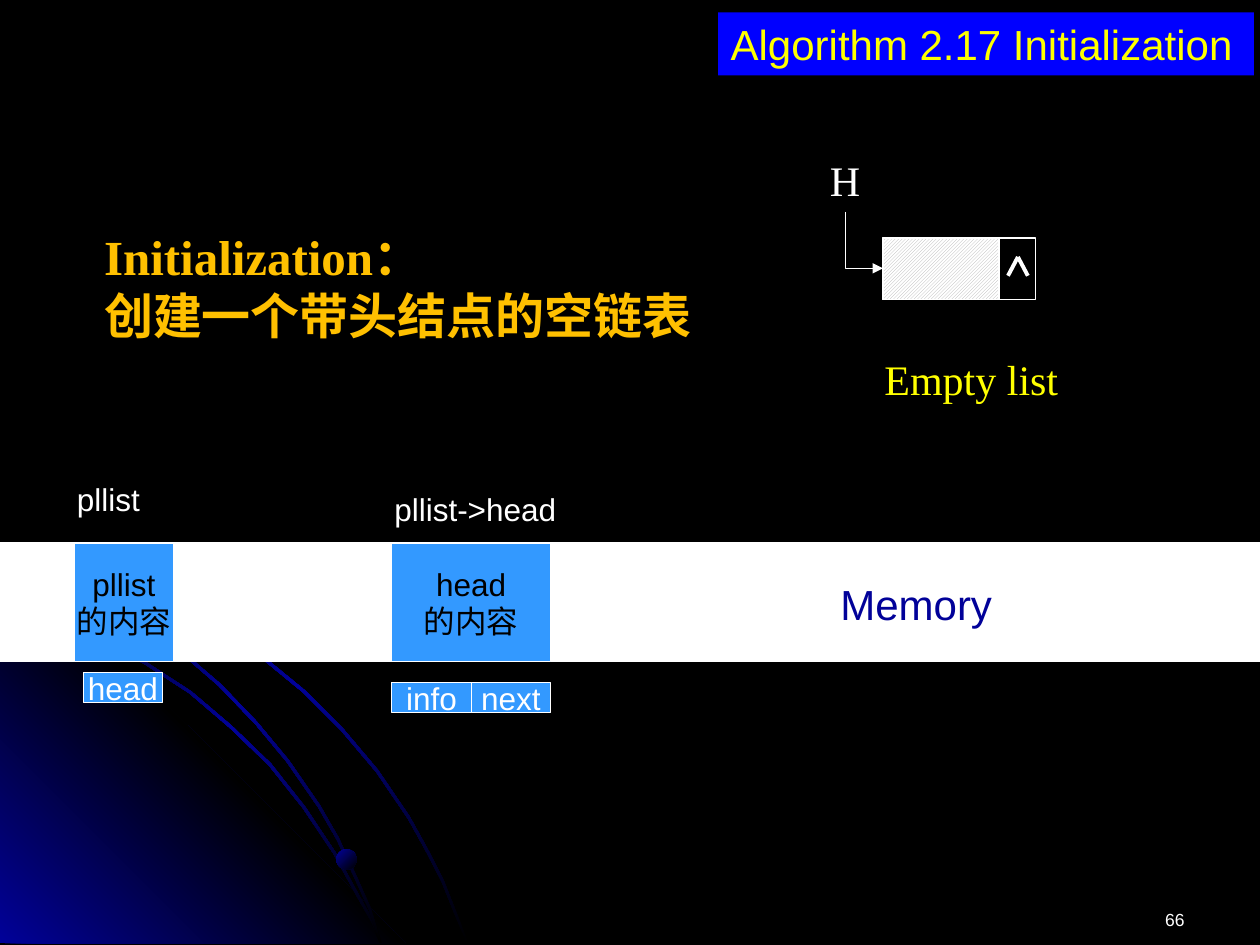
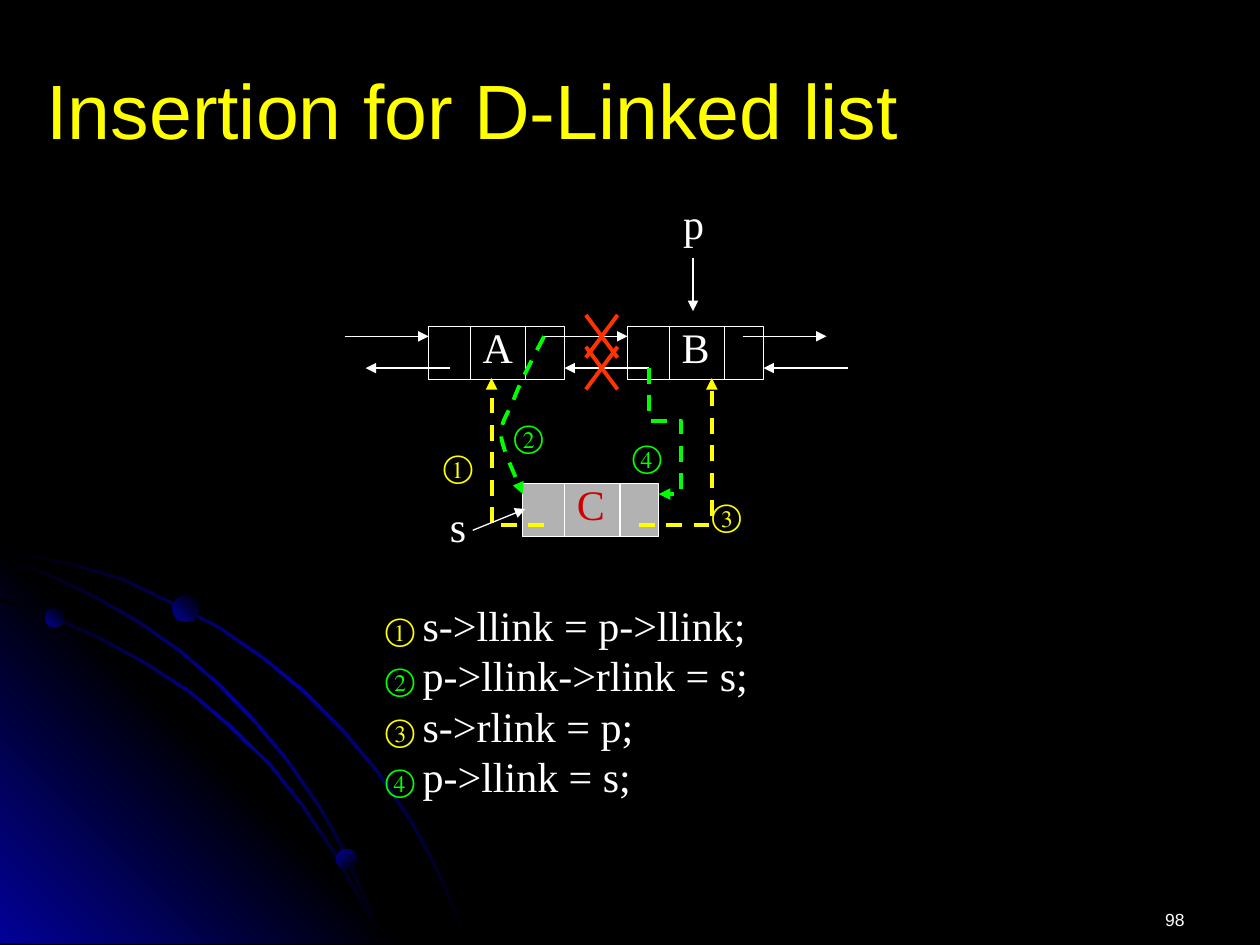
from pptx import Presentation
from pptx.dml.color import RGBColor
from pptx.enum.dml import MSO_LINE, MSO_PATTERN
from pptx.enum.shapes import MSO_CONNECTOR, MSO_SHAPE
from pptx.enum.text import MSO_ANCHOR, MSO_AUTO_SIZE, PP_ALIGN
from pptx.oxml import parse_xml
from pptx.oxml.ns import nsdecls, qn
from pptx.oxml.xmlchemy import OxmlElement
from pptx.util import Cm, Pt

LEFT, CENTER, RIGHT = PP_ALIGN.LEFT, PP_ALIGN.CENTER, PP_ALIGN.RIGHT
TOP, MIDDLE = MSO_ANCHOR.TOP, MSO_ANCHOR.MIDDLE
RECTANGLE, OVAL = MSO_SHAPE.RECTANGLE, MSO_SHAPE.OVAL
STRAIGHT, ELBOW = MSO_CONNECTOR.STRAIGHT, MSO_CONNECTOR.ELBOW
DASH, HATCH = MSO_LINE.DASH, MSO_PATTERN.LIGHT_UPWARD_DIAGONAL

COLORS = {
    "black": "000000", "white": "FFFFFF", "navy": "010199", "blue": "0000FF",
    "sky": "3399FF", "yellow": "FFFF00", "amber": "FFC000", "green": "00FF00",
    "gray": "B2B2B2", "crimson": "CC0000", "red": "FF3300",
}
SANS, SERIF = "Arial", "Times New Roman"
WIDTH, HEIGHT = 25.4, 19.05
THIN, THICK = 0.75, 2.25

ARCS = [
    [(0, 11.05), (0.71, 11.2), (1.45, 11.35), (2.49, 11.66), (3.45, 12.12),
     (4.42, 12.62), (5.31, 13.23), (6.15, 13.92), (6.91, 14.68), (7.62, 15.52),
     (8.26, 16.46), (8.61, 17.09), (8.94, 17.73), (9.19, 18.36), (9.45, 19.02)],
    [(0, 12.07), (1.04, 12.4), (2.01, 12.83), (2.97, 13.36), (3.86, 13.94),
     (4.67, 14.63), (5.46, 15.39), (6.15, 16.26), (6.76, 17.17), (7.26, 18.08),
     (7.52, 18.54), (7.7, 19.02)],
    [(0, 11.23), (0.99, 11.56), (1.93, 12.01), (2.82, 12.52), (3.66, 13.11),
     (4.45, 13.79), (5.18, 14.55), (5.82, 15.32), (6.45, 16.23), (6.83, 16.89),
     (7.16, 17.6), (7.47, 18.29), (7.7, 19.02)],
]
GLOW = [(0, 10.85), (8.18, 19.02), (0, 19.02)]
LOW_DOT = (6.78, 17.12, 0.41, 45)
ALL_DOTS = [(0.91, 12.27, 0.38, 315), LOW_DOT, (3.48, 12.01, 0.53, 315)]


def rgb(name):
    return RGBColor.from_string(COLORS[name])


def write(shape, text, size=18, color="white", font=SANS, bold=False,
          align=LEFT, anchor=TOP, wrap=False, grow=False):
    """Fill a shape with lines; a line is a string or a list of (text, size, color)."""
    frame = shape.text_frame
    frame.word_wrap = wrap
    frame.vertical_anchor = anchor
    frame.auto_size = MSO_AUTO_SIZE.SHAPE_TO_FIT_TEXT if grow else MSO_AUTO_SIZE.NONE
    lines = text.split("\n") if isinstance(text, str) else text
    for index, line in enumerate(lines):
        para = frame.add_paragraph() if index else frame.paragraphs[0]
        para.alignment = align
        spans = [(line, size, color)] if isinstance(line, str) else line
        for words, span_size, span_color in spans:
            span = para.add_run()
            span.text = words
            span.font.name, span.font.size = font, Pt(span_size)
            span.font.bold = bold
            span.font.color.rgb = rgb(span_color)


def add_label(page, left, top, width, height, text, grow=True, **style):
    box = page.shapes.add_textbox(Cm(left), Cm(top), Cm(width), Cm(height))
    write(box, text, grow=grow, **style)


def set_line(shape, color, weight, dash=None, arrow=False):
    shape.line.color.rgb = rgb(color)
    shape.line.width = Pt(weight)
    if dash:
        shape.line.dash_style = dash
    if arrow:
        head = OxmlElement("a:tailEnd")
        head.set("type", "triangle")
        shape.element.spPr.find(qn("a:ln")).append(head)


def add_box(page, left, top, width, height, fill=None, line="white", kind=RECTANGLE):
    box = page.shapes.add_shape(kind, Cm(left), Cm(top), Cm(width), Cm(height))
    box.shadow.inherit = False
    if fill:
        box.fill.solid()
        box.fill.fore_color.rgb = rgb(fill)
    else:
        box.fill.background()
    if line:
        set_line(box, line, THIN)
    else:
        box.line.fill.background()
    return box


def add_line(page, start, end, color="white", weight=THIN, arrow=False, kind=STRAIGHT):
    ends = [Cm(value) for value in (*start, *end)]
    connector = page.shapes.add_connector(kind, *ends)
    set_line(connector, color, weight, arrow=arrow)
    connector.element.spPr.append(OxmlElement("a:effectLst"))
    return connector


def add_elbow(page, start, end):
    """Arrow that runs down first and then to the right."""
    middle_x, middle_y = (start[0] + end[0]) / 2, (start[1] + end[1]) / 2
    half_run, half_drop = (end[0] - start[0]) / 2, (end[1] - start[1]) / 2
    elbow = add_line(page, (middle_x - half_drop, middle_y + half_run),
                     (middle_x + half_drop, middle_y - half_run), arrow=True, kind=ELBOW)
    properties = elbow.element.spPr
    properties.find(qn("a:prstGeom")).set("prst", "bentConnector2")
    properties.find(qn("a:xfrm")).set("rot", str(90 * 60000))


def add_outline(page, points, close=False):
    first, *rest = [(Cm(x), Cm(y)) for x, y in points]
    builder = page.shapes.build_freeform(*first)
    builder.add_line_segments(rest, close=close)
    outline = builder.convert_to_shape()
    outline.shadow.inherit = False
    outline.fill.background()
    outline.line.fill.background()
    return outline


def add_dashed_link(page, points, color):
    set_line(add_outline(page, points), color, THICK, DASH, arrow=True)


def set_gradient(shape, names, angle):
    last = len(names) - 1
    stops = "".join(
        f'<a:gs pos="{100000 * index // last}"><a:srgbClr val="{COLORS[name]}"/></a:gs>'
        for index, name in enumerate(names))
    gradient = parse_xml(
        f'<a:gradFill {nsdecls("a")} rotWithShape="1"><a:gsLst>{stops}</a:gsLst>'
        f'<a:lin ang="{angle * 60000}" scaled="1"/></a:gradFill>')
    properties = shape.element.spPr
    properties.replace(properties.find(qn("a:noFill")), gradient)


def bezier(points, steps=8):
    """Points along joined cubic curves given by their control points."""
    curve = [points[0]]
    for first in range(0, len(points) - 1, 3):
        controls = points[first:first + 4]
        for step in range(1, steps + 1):
            t = step / steps
            weights = ((1 - t) ** 3, 3 * t * (1 - t) ** 2, 3 * t * t * (1 - t), t ** 3)
            curve.append(tuple(sum(weight * point[axis] for weight, point
                                   in zip(weights, controls)) for axis in (0, 1)))
    return curve


def add_backdrop(page, dots):
    page.background.fill.solid()
    page.background.fill.fore_color.rgb = rgb("black")
    outer, *inner = ARCS
    add_arc(page, outer)
    set_gradient(add_outline(page, GLOW, close=True), ("navy", "black", "navy"), 315)
    for arc in inner:
        add_arc(page, arc)
    for left, top, size, angle in dots:
        dot = add_box(page, left, top, size, size, line=None, kind=OVAL)
        set_gradient(dot, ("navy", "black"), angle)


def add_arc(page, edge, thickness=0.04):
    bottom = edge[-1][1]
    back = [(max(x - thickness, 0), min(y + thickness, bottom)) for x, y in reversed(edge)]
    set_gradient(add_outline(page, edge + back, close=True), ("black", "navy", "black"), 45)


def add_page(deck, number, dots):
    page = deck.slides.add_slide(deck.slide_layouts[6])
    add_backdrop(page, dots)
    add_label(page, 18.21, 18.21, 5.92, 0.8, number, grow=False, size=10, align=RIGHT, wrap=True)
    return page


def add_cell(page, left, top, width, height, text, color="white"):
    cell = add_box(page, left, top, width, height, fill="sky")
    write(cell, text, color=color, align=CENTER, anchor=MIDDLE)


def add_memory(page, top, height=2.39):
    """Band of memory with its cells, the names above and the fields below."""
    add_box(page, 0, top, WIDTH, height, fill="white")
    add_label(page, 16.69, top + 0.58, 3.58, 1.27, "Memory", size=24, color="navy")
    add_cell(page, 1.5, top, 2, height, "pllist\n的内容", color="black")
    add_cell(page, 7.9, top, 3.2, height, "head\n的内容", color="black")
    add_label(page, 1.3, top - 1.4, 1.78, 1.02, "pllist")
    add_label(page, 7.7, top - 1.2, 3.78, 1.02, "pllist->head")
    below = top + height
    for left, drop, field in ((1.68, 0.22, "head"), (7.9, 0.42, "info"), (9.5, 0.42, "next")):
        add_cell(page, left, below + drop, 1.6, 0.61, field)


def add_empty_list(page, left, top, height=1.24):
    add_box(page, left, top, 3.07, height)
    data = add_box(page, left, top, 2.34, height)
    data.fill.patterned()
    data.fill.pattern = HATCH
    data.fill.fore_color.rgb = rgb("gray")
    data.fill.back_color.rgb = rgb("white")
    add_label(page, left - 1.32, top - 1.8, 1.12, 1.27, "H", size=24, font=SERIF)
    add_elbow(page, (left - 0.76, top - 0.53), (left, top + 0.61))
    add_label(page, left - 0.22, top + 2.21, 4.01, 1.27, "Empty list",
              size=24, font=SERIF, color="yellow")
    peak = (left + 2.72, top + 0.38)
    for side in (-0.2, 0.2):
        add_line(page, (peak[0] + side, peak[1] + 0.38), peak, weight=THICK)


def add_node(page, left, top, name, fill=None, color="white"):
    height = 1.07
    add_box(page, left, top, 2.74, height, fill=fill)
    for divider in (left + 1.96, left + 0.84):
        add_line(page, (divider, top), (divider, top + height))
    add_label(page, left + 0.84, top - 0.23, 1.1, 1.27, name, size=24, font=SERIF, color=color)


def add_cross(page, left, top, width=0.64, height=0.86):
    right, bottom = left + width, top + height
    add_line(page, (left, top), (right, bottom), "red", THICK)
    add_line(page, (left, bottom), (right, top), "red", THICK)


def add_pointer(page, left, top, name, start, end):
    add_label(page, left, top, 0.9, 1.27, name, size=24, font=SERIF)
    add_line(page, start, end, arrow=True)


def add_node_chain(page, left, top, pitch=4.01):
    """Nodes A and B with the links around them, and node C below."""
    add_node(page, left, top, "A")
    add_node(page, left + pitch, top, "B")
    add_node(page, left + 1.9, top + 3.17, "C", fill="gray", color="crimson")
    for index in range(3):
        shift = left + index * pitch
        for start, end, drop in ((-1.69, 0, 0.2), (0.43, -1.27, 0.84)):
            add_line(page, (shift + start, top + drop), (shift + end, top + drop), arrow=True)
    for rise in (-0.23, 0.41):
        add_cross(page, left + 3.17, top + rise)


def add_new_links(page):
    add_dashed_link(page, bezier([
        (10.97, 6.78), (10.72, 7.26), (10.46, 7.75), (10.34, 8.1), (10.19, 8.43),
        (10.08, 8.53), (10.11, 8.84), (10.16, 9.14), (10.46, 9.75), (10.54, 9.96)]), "green")
    add_dashed_link(page, [(12.88, 10.59), (14.35, 10.59), (14.35, 7.62)], "yellow")
    add_dashed_link(page, [(13.08, 7.42), (13.08, 8.48), (13.72, 8.48),
                           (13.72, 9.96), (13.28, 9.96)], "green")
    add_dashed_link(page, [(10.97, 10.59), (9.91, 10.59), (9.91, 7.62)], "yellow")
    for left, top, mark, color in ((8.69, 8.89, "①", "yellow"), (10.11, 8.28, "②", "green"),
                                   (14.1, 9.88, "③", "yellow"), (12.5, 8.69, "④", "green")):
        add_label(page, left, top, 1.14, 1.02, mark, font=SERIF, color=color)


def build_initialization(deck):
    page = add_page(deck, "66", [LOW_DOT])
    add_memory(page, 10.95)
    add_empty_list(page, 17.8, 4.8)
    add_label(page, 1.85, 4.45, 12.62, 2.64, "Initialization：\n创建一个带头结点的空链表",
              size=28, font=SERIF, color="amber", bold=True)
    header = add_box(page, 14.48, 0.25, 10.8, 1.27, fill="blue", line=None)
    write(header, "Algorithm 2.17 Initialization", size=24, color="yellow", wrap=True, grow=True)


def build_insertion(deck):
    page = add_page(deck, "98", ALL_DOTS)
    statements = (("① ", "s->llink = p->llink;"), ("② ", "p->llink->rlink = s;"),
                  ("③ ", "s->rlink = p;"), ("④ ", "p->llink = s;"))
    code = [[(mark, 18, "green" if index % 2 else "yellow"), (statement, 24, "white")]
            for index, (mark, statement) in enumerate(statements)]
    add_label(page, 7.52, 11.96, 7.85, 4.32, code, font=SERIF)
    add_node_chain(page, 8.64, 6.58)
    add_new_links(page)
    add_pointer(page, 8.82, 9.96, "s", (9.53, 10.69), (10.59, 10.26))
    add_pointer(page, 13.52, 3.86, "p", (13.97, 5.21), (13.97, 6.27))
    add_label(page, 0.69, 0.61, 21.59, 3.18, "Insertion for D-Linked list",
              grow=False, size=44, color="yellow", anchor=MIDDLE, wrap=True)


def main():
    deck = Presentation()
    deck.slide_width, deck.slide_height = Cm(WIDTH), Cm(HEIGHT)
    build_initialization(deck)
    build_insertion(deck)
    deck.save("out.pptx")


if __name__ == "__main__":
    main()
